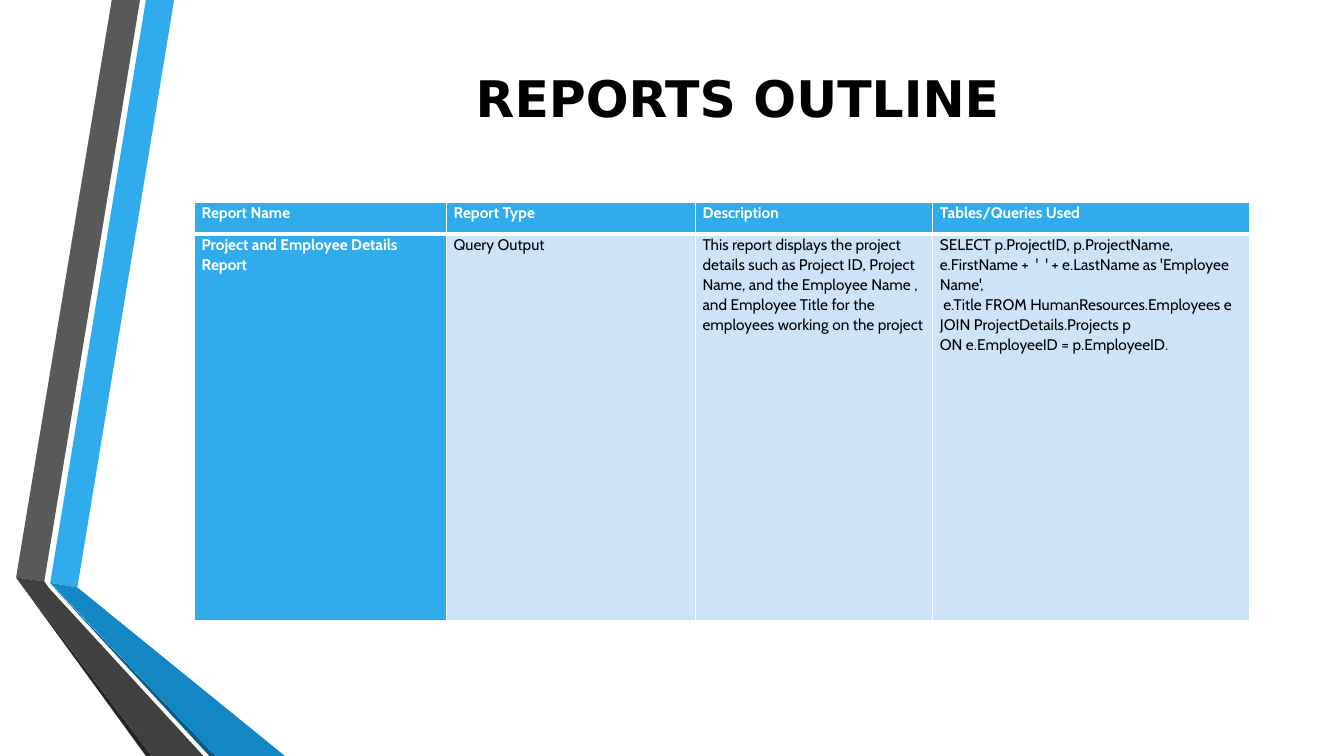
import dataclasses

import lxml.etree
import pptx
import pptx.dml.color
import pptx.enum.text
import pptx.oxml.ns
import pptx.util


@dataclasses.dataclass(frozen=True)
class Theme:
    accent: str = "30ACEC"
    accent_dark: str = "1287C3"
    accent_shadow: str = "0C5A82"
    grey: str = "595959"
    grey_dark: str = "404040"
    grey_shadow: str = "262626"
    pale: str = "CDE3F8"
    white: str = "FFFFFF"
    black: str = "000000"
    title_font: str = "DejaVu Sans"
    body_font: str = "Cabin"
    title_size: int = 36
    body_size: int = 11


@dataclasses.dataclass(frozen=True)
class Box:
    left: float
    top: float
    width: float
    height: float

    def share(self, left, top, width, height):
        return Box(
            self.left + self.width * left / 100,
            self.top + self.height * top / 100,
            self.width * width / 100,
            self.height * height / 100,
        )

    def point(self, across, down):
        corner = self.share(across, down, 0, 0)
        return round(corner.left), round(corner.top)

    def emu(self):
        return [round(length) for length in (self.left, self.top, self.width, self.height)]


THEME = Theme()
COLUMN_SHARES = (23.9, 23.6, 22.5, 30)
HEADER_SHARE = 7.5
RIBBONS = (
    (THEME.accent, ((12.7, 77.1), (22.8, 77.7), (58.8, 0), (48.3, 0))),
    (THEME.grey, ((46.1, 0), (35.6, 0), (0, 76.4), (10.5, 76.9))),
    (THEME.grey_shadow, ((0, 76.4), (48.3, 100), (50.6, 100))),
    (THEME.accent_shadow, ((12.7, 77.2), (71.9, 100), (74.2, 100))),
    (THEME.accent_dark, ((12.7, 77.1), (74.2, 100), (100, 100), (22.8, 77.7))),
    (THEME.grey_dark, ((69.7, 100), (12, 77.7), (10.5, 76.9), (0, 76.4), (50.6, 100))),
)
REPORT_ROWS = (
    ("Report Name", "Report Type", "Description", "Tables/Queries Used"),
    (
        "Project and Employee Details Report",
        "Query Output",
        "This report displays the project details such as Project ID, Project Name, "
        "and the Employee Name , and Employee Title for the employees working on the project",
        "SELECT p.ProjectID, p.ProjectName, e.FirstName +  '  ' + e.LastName as 'Employee Name',\n"
        " e.Title FROM HumanResources.Employees e JOIN ProjectDetails.Projects p\n"
        "ON e.EmployeeID = p.EmployeeID.",
    ),
)


def color(value):
    return pptx.dml.color.RGBColor.from_string(value)


def write_text(frame, text, *, font, size, fill, bold=False, align=None, spacing=None):
    frame.word_wrap = True
    frame.text = text
    for paragraph in frame.paragraphs:
        paragraph.alignment = align
        paragraph.line_spacing = spacing
        paragraph.font.name = font
        paragraph.font.size = pptx.util.Pt(size)
        paragraph.font.bold = bold
        paragraph.font.color.rgb = color(fill)


def border_cell(cell, widths):
    properties = cell._tc.get_or_add_tcPr()
    for index, (side, width) in enumerate(widths.items()):
        line = lxml.etree.Element(
            pptx.oxml.ns.qn(f"a:ln{side}"), w=str(pptx.util.Pt(width))
        )
        solid = lxml.etree.SubElement(line, pptx.oxml.ns.qn("a:solidFill"))
        lxml.etree.SubElement(solid, pptx.oxml.ns.qn("a:srgbClr"), val=THEME.white)
        properties.insert(index, line)


def add_ribbons(slide, box):
    for fill, outline in RIBBONS:
        start, *others = [box.point(*position) for position in outline]
        builder = slide.shapes.build_freeform(*start)
        builder.add_line_segments(others, close=True)
        shape = builder.convert_to_shape()
        shape.shadow.inherit = False
        shape.fill.solid()
        shape.fill.fore_color.rgb = color(fill)
        shape.line.fill.background()


def add_title(slide, box, text):
    title = slide.shapes.title
    title.left, title.top, title.width, title.height = box.emu()
    frame = title.text_frame
    frame.auto_size = pptx.enum.text.MSO_AUTO_SIZE.NONE
    frame.vertical_anchor = pptx.enum.text.MSO_ANCHOR.MIDDLE
    frame.margin_top = 0
    frame.margin_bottom = round(box.height * 0.56)
    write_text(
        frame, text, font=THEME.title_font, size=THEME.title_size, fill=THEME.black,
        bold=True, align=pptx.enum.text.PP_ALIGN.CENTER,
    )


def add_report_table(slide, box, rows):
    table = slide.shapes.add_table(len(rows), len(COLUMN_SHARES), *box.emu()).table
    for column, share in zip(table.columns, COLUMN_SHARES):
        column.width = round(box.width * share / 100)
    for row, share in zip(table.rows, (HEADER_SHARE, 100 - HEADER_SHARE)):
        row.height = round(box.height * share / 100)
    for row_index, texts in enumerate(rows):
        for column_index, text in enumerate(texts):
            cell = table.cell(row_index, column_index)
            heading = row_index == 0 or column_index == 0
            cell.margin_left = cell.margin_right = pptx.util.Inches(0.07)
            cell.margin_top = cell.margin_bottom = 0
            cell.fill.solid()
            cell.fill.fore_color.rgb = color(THEME.accent if heading else THEME.pale)
            write_text(
                cell.text_frame, text, font=THEME.body_font, size=THEME.body_size,
                fill=THEME.white if heading else THEME.black, bold=heading, spacing=1.07,
            )
            header = row_index == 0
            border_cell(
                cell, {"L": 1, "R": 1, "T": 1 if header else 3, "B": 3 if header else 1}
            )


def main():
    presentation = pptx.Presentation()
    presentation.slide_width = pptx.util.Inches(13.33)
    presentation.slide_height = pptx.util.Inches(7.5)
    page = Box(0, 0, presentation.slide_width, presentation.slide_height)
    slide = presentation.slides.add_slide(presentation.slide_layouts.get_by_name("Title Only"))
    add_ribbons(slide, page.share(1.2, 0, 20, 100))
    add_title(slide, page.share(12.15, 10, 85.45, 12.93), "REPORTS OUTLINE")
    add_report_table(slide, page.share(14.48, 26.8, 78.47, 55.33), REPORT_ROWS)
    presentation.save("out.pptx")


if __name__ == "__main__":
    main()
